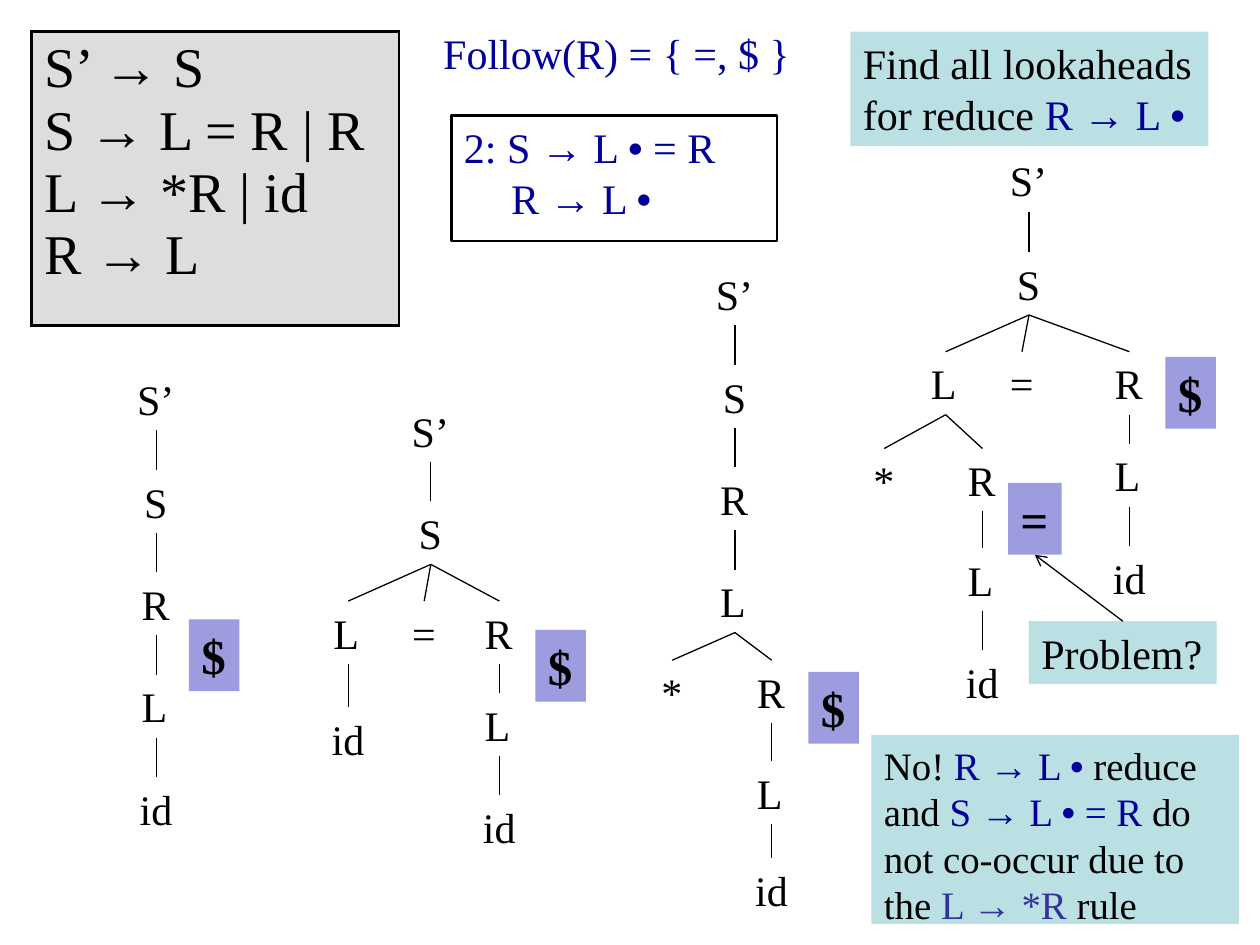
from dataclasses import dataclass
from typing import NamedTuple

from lxml.etree import SubElement
from pptx import Presentation
from pptx.dml.color import RGBColor
from pptx.enum.shapes import MSO_CONNECTOR, MSO_SHAPE
from pptx.enum.text import MSO_ANCHOR, PP_ALIGN
from pptx.oxml.ns import qn
from pptx.util import Pt

COLORS = {
    "ink": "000000",
    "item": "000099",
    "rule": "333399",
    "paper": "FFFFFF",
    "grammar": "DDDDDD",
    "note": "BBE0E3",
    "lookahead": "9C9CDF",
}
FONT = "Times New Roman"
NODE_HEIGHT = 36
LABEL_WIDTHS = {"S’": 36, "S": 28, "R": 31, "L": 31, "id": 33, "=": 28, "*": 26.6}


class Span(NamedTuple):
    text: str
    color: str = "ink"
    bold: bool = False


@dataclass
class Box:
    left: float
    top: float
    width: float
    height: float
    lines: list[list[Span]]
    size: float = 24
    fill: str | None = None
    outline: float = 0
    wrap: bool = False


@dataclass
class Node:
    label: str
    x: float  # horizontal centre
    top: float
    children: tuple["Node", ...] = ()


def color(key: str) -> RGBColor:
    return RGBColor.from_string(COLORS[key])


def style_run(run, span: Span, size: float) -> None:
    run.font.name = FONT
    run.font.size = Pt(size)
    run.font.bold = span.bold
    run.font.color.rgb = color(span.color)


def draw_box(slide, box: Box):
    place = [Pt(v) for v in (box.left, box.top, box.width, box.height)]
    if box.fill:
        shape = slide.shapes.add_shape(MSO_SHAPE.RECTANGLE, *place)
        shape.shadow.inherit = False
        shape.fill.solid()
        shape.fill.fore_color.rgb = color(box.fill)
        if box.outline:
            shape.line.color.rgb = color("ink")
            shape.line.width = Pt(box.outline)
        else:
            shape.line.fill.background()
    else:
        shape = slide.shapes.add_textbox(*place)

    frame = shape.text_frame
    frame.word_wrap = box.wrap
    frame.vertical_anchor = MSO_ANCHOR.TOP
    for number, spans in enumerate(box.lines):
        paragraph = frame.add_paragraph() if number else frame.paragraphs[0]
        paragraph.alignment = PP_ALIGN.LEFT
        for span in spans:
            run = paragraph.add_run()
            run.text = span.text
            style_run(run, span, box.size)
    return shape


def connect(slide, start, start_site: int, end, end_site: int):
    line = slide.shapes.add_connector(MSO_CONNECTOR.STRAIGHT, 0, 0, 0, 0)
    line.begin_connect(start, start_site)
    line.end_connect(end, end_site)
    line.line.color.rgb = color("ink")
    line.line.width = Pt(0.75)
    SubElement(line._element.spPr, qn("a:effectLst"))
    return line


def draw_tree(slide, node: Node):
    width = LABEL_WIDTHS[node.label]
    label = draw_box(slide, Box(node.x - width / 2, node.top, width, NODE_HEIGHT,
                                [[Span(node.label)]]))
    for child in node.children:
        connect(slide, label, 2, draw_tree(slide, child), 0)
    return label


def chain(x: float, *steps: tuple[str, float], ends: tuple[Node, ...] = ()) -> Node:
    """Stack (label, top) steps at one x, the last one holding the given children."""
    for label, top in reversed(steps):
        ends = (Node(label, x, top, ends),)
    return ends[0]


def draw_grammar(slide, productions: list[str]) -> None:
    frame = slide.shapes.add_table(1, 1, Pt(18), Pt(18), Pt(210), Pt(168))
    frame.table.first_row = frame.table.horz_banding = False
    cell = frame.table.cell(0, 0)
    cell.text_frame.text = "\n".join(productions)
    for paragraph in cell.text_frame.paragraphs:
        style_run(paragraph.runs[0], Span(""), 32)
    properties = cell._tc.get_or_add_tcPr()
    for side in ("a:lnL", "a:lnR", "a:lnT", "a:lnB"):
        border = SubElement(properties, qn(side), w=str(Pt(1.5)))
        SubElement(SubElement(border, qn("a:solidFill")), qn("a:srgbClr"), val=COLORS["ink"])
    cell.fill.solid()
    cell.fill.fore_color.rgb = color("grammar")


def lookahead(left: float, top: float, symbol: str = "$", width: float = 28.8) -> Box:
    return Box(left, top, width, 41, [[Span(symbol, bold=True)]], 28, "lookahead")


REDUCE = [Span("R → L ", "item"), Span("•", "item", True)]
SHIFT = [Span("S → L ", "item"), Span("• ", "item", True), Span("= R", "item")]

TREES = [
    chain(89.3, ("S’", 210), ("S", 268.5), ("R", 327), ("L", 385.5), ("id", 444)),
    chain(246.2, ("S’", 228), ("S", 286.5), ends=(
        chain(199, ("L", 343.5), ("id", 404)),
        Node("=", 242.4, 343.5),
        chain(285.4, ("R", 343.5), ("L", 396), ("id", 454.5)),
    )),
    chain(420, ("S’", 150), ("S", 208.5), ("R", 267), ("L", 325.5), ends=(
        Node("*", 384.1, 377.3),
        chain(441, ("R", 377.3), ("L", 435), ("id", 490.5)),
    )),
    chain(588, ("S’", 85), ("S", 144), ends=(
        Node("L", 540.4, 201, (
            Node("*", 505.3, 256.3),
            chain(561.4, ("R", 256.3), ("L", 313.2), ("id", 371.5)),
        )),
        Node("=", 584, 201),
        chain(645.4, ("R", 201), ("L", 253.5), ("id", 312)),
    )),
]

FOLLOW_SET = Box(246.2, 12.2, 214.6, 36, [[Span("Follow(R) = { =, $ }", "item")]])
STATE = Box(258, 66, 186, 72, [[Span("2: ", "item"), *SHIFT], REDUCE],
            fill="paper", outline=1.25, wrap=True)
TASK = Box(486, 18, 204.5, 65.5,
           [[Span("Find all lookaheads")], [Span("for reduce "), *REDUCE]], fill="note")
ANSWER = Box(498, 420, 210, 108,
             [[Span("No! "), *REDUCE, Span(" reduce and "), *SHIFT,
               Span(" do not co-occur due to the "), Span("L → *R", "rule"), Span(" rule")]],
             22.2, "note", wrap=True)
PROBLEM = Box(588, 355, 107.3, 36, [[Span("Problem?")]], fill="note")
END_LOOKAHEADS = [lookahead(108, 354), lookahead(306, 360),
                  lookahead(462, 384), lookahead(666, 204)]


def main() -> None:
    deck = Presentation()
    deck.slide_width, deck.slide_height = Pt(720), Pt(540)
    slide = deck.slides.add_slide(deck.slide_layouts[6])

    # Grammar, follow set and parser state
    draw_grammar(slide, ["S’ → S", "S → L = R | R", "L → *R | id", "R → L"])
    draw_box(slide, FOLLOW_SET)
    state = draw_box(slide, STATE)
    state.text_frame.paragraphs[1]._p.get_or_add_pPr().set("marL", str(Pt(27)))

    # Parse trees with their lookaheads
    for tree in TREES:
        draw_tree(slide, tree)
    for box in END_LOOKAHEADS:
        draw_box(slide, box)

    # Question, suspect lookahead and answer
    draw_box(slide, TASK)
    suspect = draw_box(slide, lookahead(576, 276, "=", 30.7))
    draw_box(slide, ANSWER)
    problem = draw_box(slide, PROBLEM)
    pointer = connect(slide, problem, 0, suspect, 2)
    SubElement(pointer.line._get_or_add_ln(), qn("a:tailEnd"), type="arrow")

    deck.save("out.pptx")


if __name__ == "__main__":
    main()
